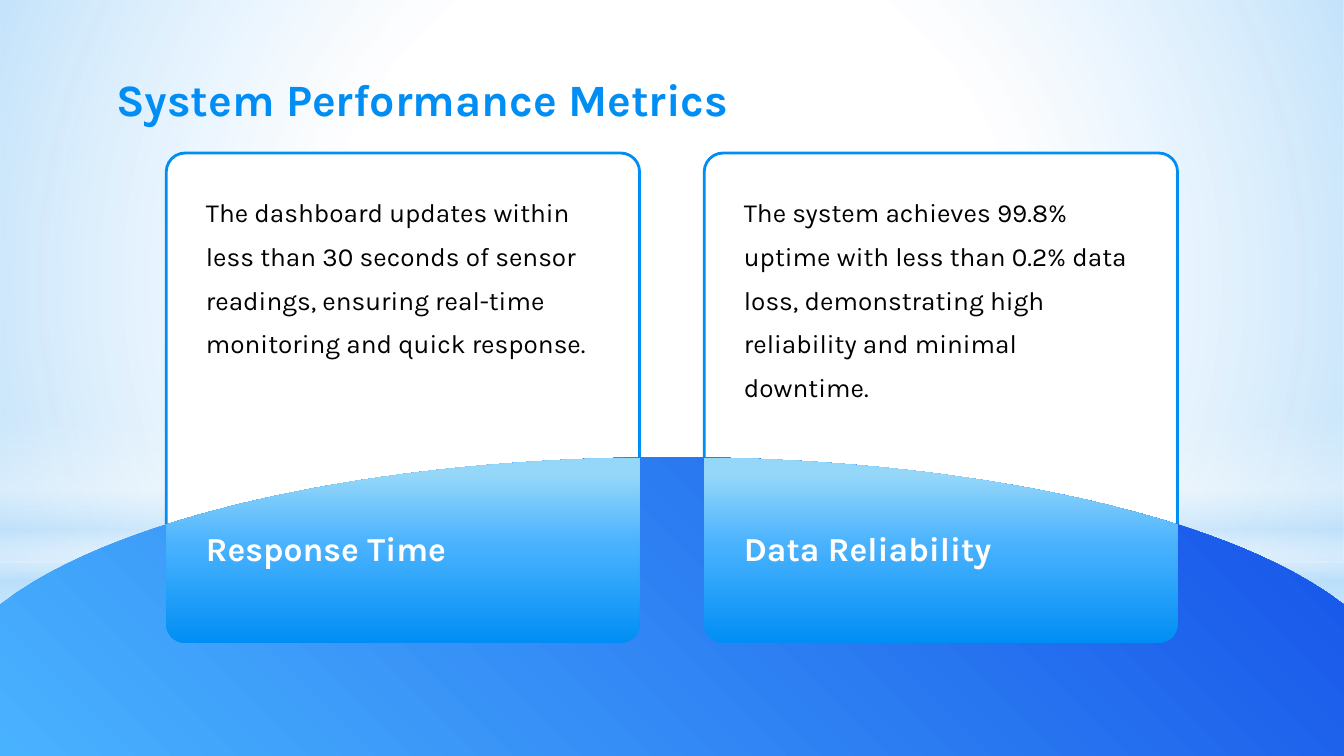
from math import cos, pi, sin

from lxml.etree import SubElement
from pptx import Presentation
from pptx.dml.color import RGBColor
from pptx.enum.shapes import MSO_SHAPE
from pptx.enum.text import MSO_AUTO_SIZE
from pptx.oxml.ns import qn
from pptx.util import Pt

WHITE = RGBColor(0xFF, 0xFF, 0xFF)
BLACK = RGBColor(0, 0, 0)
PALE = RGBColor(0xB4, 0xDC, 0xFA)
BLUE = RGBColor(0x01, 0x8E, 0xF4)
SKY = RGBColor(0x49, 0xB2, 0xFE)
LIGHT = RGBColor(0x95, 0xD7, 0xF9)
ROYAL = RGBColor(0x15, 0x52, 0xE8)

FONT = "Karla"
WIDTH, HEIGHT = 720, 405
RADIUS = 10.1
DOME_X = (0, 60, 199, 360)
DOME_Y = (324, 277, 245, 245)
CARDS = [
    ("Response Time",
     "The dashboard updates within less than 30 seconds of sensor readings, "
     "ensuring real-time monitoring and quick response."),
    ("Data Reliability",
     "The system achieves 99.8% uptime with less than 0.2% data loss, "
     "demonstrating high reliability and minimal downtime."),
]


def bezier(c, t):
    u = 1 - t
    return u**3 * c[0] + 3 * u * u * t * c[1] + 3 * u * t * t * c[2] + t**3 * c[3]


def dome_height(x):
    x = min(x, WIDTH - x)
    low, high = 0, 1
    for _ in range(40):
        mid = (low + high) / 2
        if bezier(DOME_X, mid) < x:
            low = mid
        else:
            high = mid
    return bezier(DOME_Y, low)


def dome_edge(left, right, steps):
    xs = [left + (right - left) * i / steps for i in range(steps + 1)]
    return [(x, dome_height(x)) for x in xs]


def corner(cx, cy, start):
    angles = [start + pi / 2 * i / 8 for i in range(9)]
    return [(cx + RADIUS * cos(a), cy + RADIUS * sin(a)) for a in angles]


def set_gradient(sp, stops, angle=None):
    sp.shadow.inherit = False
    sp.line.fill.background()
    sp.fill.gradient()
    grad = sp._element.spPr.find(qn("a:gradFill"))
    for child in list(grad):
        grad.remove(child)
    gs_list = SubElement(grad, qn("a:gsLst"))
    for pos, color, *alpha in stops:
        gs = SubElement(gs_list, qn("a:gs"), pos=str(pos * 1000))
        clr = SubElement(gs, qn("a:srgbClr"), val=str(color))
        if alpha:
            SubElement(clr, qn("a:alpha"), val=str(alpha[0] * 1000))
    if angle is None:
        path = SubElement(grad, qn("a:path"), path="circle")
        SubElement(path, qn("a:fillToRect"), l="50000", t="50000", r="50000", b="50000")
    else:
        SubElement(grad, qn("a:lin"), ang=str(angle * 60000), scaled="0")


def add_shape(s, kind, x, y, w, h):
    return s.shapes.add_shape(kind, Pt(x), Pt(y), Pt(w), Pt(h))


def add_outline(s, points):
    points = [(Pt(x), Pt(y)) for x, y in points]
    builder = s.shapes.build_freeform(*points[0])
    builder.add_line_segments(points[1:], close=True)
    return builder.convert_to_shape()


def add_text(s, x, y, w, h, text, size, color, bold=False, spacing=None):
    tf = s.shapes.add_textbox(Pt(x), Pt(y), Pt(w), Pt(h)).text_frame
    tf.word_wrap = True
    tf.auto_size = MSO_AUTO_SIZE.SHAPE_TO_FIT_TEXT
    tf.margin_left = tf.margin_right = Pt(5.25)
    tf.margin_top = tf.margin_bottom = Pt(2.63)
    p = tf.paragraphs[0]
    p.text = text
    p.line_spacing = spacing
    font = p.runs[0].font
    font.name, font.size, font.bold = FONT, Pt(size), bold
    font.color.rgb = color


def add_backdrop(s, x, y, w, h):
    horizon = 301.5
    rect = MSO_SHAPE.RECTANGLE
    layers = [
        (rect, horizon, h - horizon,
         [(0, WHITE, 91), (37, WHITE, 76), (100, PALE, 79)], None),
        (rect, 0, horizon,
         [(0, WHITE, 89), (48, WHITE, 62), (100, PALE, 79)], None),
        (rect, 222.5, 135,
         [(0, WHITE, 0), (29, WHITE, 30), (45, PALE, 40),
          (55, WHITE, 26), (65, PALE, 60), (100, WHITE, 0)], 90),
        (MSO_SHAPE.OVAL, 94.5, horizon, [(0, WHITE, 100), (56, WHITE, 0)], None),
    ]
    for kind, top, height, stops, angle in layers:
        set_gradient(add_shape(s, kind, x, y + top, w, height), stops, angle)


def add_footer(s, x, y, w, h):
    sp = add_shape(s, MSO_SHAPE.RECTANGLE, x, y, w, h)
    set_gradient(sp, [(0, BLUE), (91, SKY), (100, SKY)], 225)


def add_panel(s, x, y, w, h):
    sp = add_shape(s, MSO_SHAPE.ROUNDED_RECTANGLE, x, y, w, h)
    sp.adjustments[0] = RADIUS / min(w, h)
    sp.shadow.inherit = False
    sp.fill.solid()
    sp.fill.fore_color.rgb = WHITE
    sp.line.color.rgb = BLUE
    sp.line.width = Pt(1.5)


def add_dome(s, x, w, bottom):
    sp = add_outline(s, dome_edge(x, x + w, 80) + [(x + w, bottom), (x, bottom)])
    set_gradient(sp, [(0, SKY), (100, ROYAL)], 315)


def add_card_content(s, x, y, w, h, heading, body):
    right, bottom = x + w, y + h
    points = dome_edge(x, right, 30)
    points += corner(right - RADIUS, bottom - RADIUS, 0)
    points += corner(x + RADIUS, bottom - RADIUS, pi / 2)
    sp = add_outline(s, points)
    set_gradient(sp, [(0, BLUE), (53, SKY), (91, LIGHT), (100, LIGHT)], 270)
    inset = 16
    add_text(s, x + inset, y + 198, w - 2 * inset, 27.4, heading, 18, WHITE, bold=True)
    add_text(s, x + inset, y + 13.7, w - 2 * inset, 98, body, 14, BLACK, spacing=1.4)


def main():
    prs = Presentation()
    prs.slide_width, prs.slide_height = Pt(WIDTH), Pt(HEIGHT)
    s = prs.slides.add_slide(prs.slide_layouts[6])
    add_backdrop(s, 0, 0, WIDTH, HEIGHT)
    add_text(s, 57, 36, 579, 34.6, "System Performance Metrics", 24, BLUE, bold=True)
    add_footer(s, 0, 371.5, WIDTH, 33.5)
    card_w, card_h, gap = 253.6, 262.6, 34.6
    left = (WIDTH - 2 * card_w - gap) / 2
    boxes = [(left + i * (card_w + gap), 82, card_w, card_h) for i in range(2)]
    for box in boxes:
        add_panel(s, *box)
    add_dome(s, 0, WIDTH, HEIGHT)
    for box, (heading, body) in zip(boxes, CARDS):
        add_card_content(s, *box, heading, body)
    prs.save("out.pptx")


if __name__ == "__main__":
    main()
